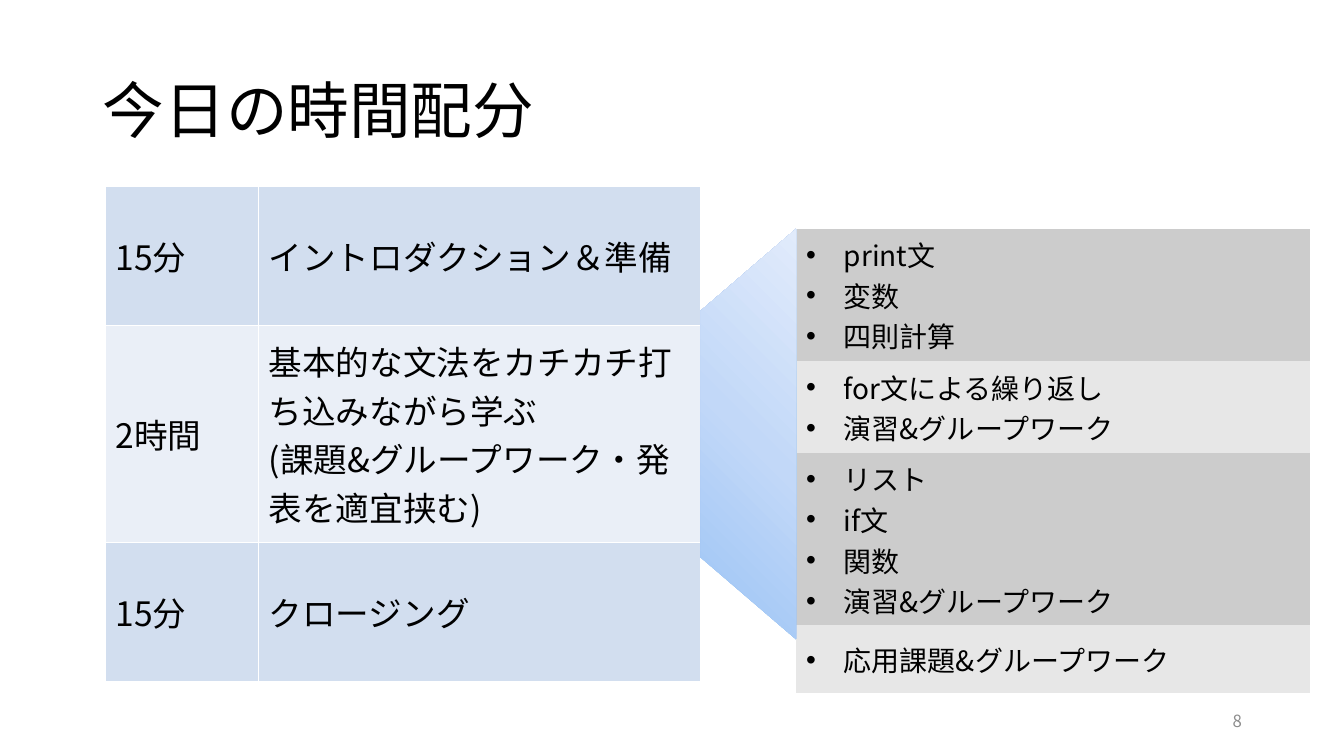
from copy import deepcopy
from dataclasses import dataclass
from typing import NamedTuple

from lxml.etree import SubElement
from pptx import Presentation
from pptx.dml.color import RGBColor
from pptx.enum.shapes import MSO_SHAPE
from pptx.enum.text import MSO_ANCHOR, MSO_AUTO_SIZE, PP_ALIGN
from pptx.oxml.ns import qn
from pptx.util import Cm, Pt


@dataclass(frozen=True)
class Theme:
    font: str = "Noto Sans CJK JP"
    ink: str = "000000"
    muted: str = "8C8C8C"
    rule: str = "FFFFFF"
    schedule_bands: tuple = ("D2DEEF", "EAEFF7")
    topic_bands: tuple = ("CCCCCC", "E7E7E7")
    funnel_stops: tuple = ("9AC3F5", "C2D8F8", "E1EBFB")
    title_size: int = 44
    schedule_size: int = 24
    topic_size: int = 20
    number_size: int = 12


class Box(NamedTuple):
    left: float
    top: float
    width: float
    height: float

    def lengths(self):
        return [Cm(length) for length in self]


THEME = Theme()
PLAIN_STYLE = "{2D5ABB26-0587-4C30-8999-92F81FD0307C}"

SCHEDULE = [
    ("15分", ["イントロダクション＆準備"]),
    ("2時間", ["基本的な文法をカチカチ打ち込みながら学ぶ",
              "(課題&グループワーク・発表を適宜挟む)"]),
    ("15分", ["クロージング"]),
]
TOPICS = [
    ["print文", "変数", "四則計算"],
    ["for文による繰り返し", "演習&グループワーク"],
    ["リスト", "if文", "関数", "演習&グループワーク"],
    ["応用課題&グループワーク"],
]


def add_text(paragraph, text, size, color=THEME.ink):
    run = paragraph.add_run()
    run.text = text
    run.font.name = THEME.font
    run.font.size = Pt(size)
    run.font.color.rgb = RGBColor.from_string(color)
    SubElement(run.font._element, qn("a:ea"), typeface=THEME.font)


def add_bullet(paragraph):
    indent = Cm(0.95)
    properties = paragraph._p.get_or_add_pPr()
    properties.set("marL", str(indent))
    properties.set("indent", str(-indent))
    SubElement(properties, qn("a:buFont"), typeface="Arial")
    SubElement(properties, qn("a:buChar"), char="•")


def fill_cell(cell, lines, size, band, bulleted=False, ruled=False):
    frame = cell.text_frame
    for index, line in enumerate(lines):
        paragraph = frame.add_paragraph() if index else frame.paragraphs[0]
        if bulleted:
            add_bullet(paragraph)
        add_text(paragraph, line, size)
    cell.vertical_anchor = MSO_ANCHOR.MIDDLE
    if ruled:
        for side in ("a:lnL", "a:lnR", "a:lnT", "a:lnB"):
            border = SubElement(cell._tc.get_or_add_tcPr(), qn(side), w=str(Pt(1)))
            SubElement(SubElement(border, qn("a:solidFill")), qn("a:srgbClr"), val=THEME.rule)
    cell.fill.solid()
    cell.fill.fore_color.rgb = RGBColor.from_string(band)


def add_plain_table(slide, box, widths, heights):
    table = slide.shapes.add_table(len(heights), len(widths), *box.lengths()).table
    table.first_row = table.horz_banding = False
    table._tbl.tblPr.find(qn("a:tableStyleId")).text = PLAIN_STYLE
    for column, width in zip(table.columns, widths):
        column.width = Cm(width)
    for row, height in zip(table.rows, heights):
        row.height = Cm(height)
    return table


def add_title(slide, box):
    title = slide.shapes.title
    title.left, title.top, title.width, title.height = box.lengths()
    frame = title.text_frame
    frame.auto_size = MSO_AUTO_SIZE.NONE
    frame.vertical_anchor = MSO_ANCHOR.MIDDLE
    heading = frame.paragraphs[0]
    heading.alignment = PP_ALIGN.LEFT
    heading.line_spacing = 0.9
    add_text(heading, "今日の時間配分", THEME.title_size)


def add_schedule(slide, box):
    duration_width, side_height = 3.86, 3.5
    widths = (duration_width, box.width - duration_width)
    heights = (side_height, box.height - 2 * side_height, side_height)
    table = add_plain_table(slide, box, widths, heights)
    for row, (duration, activity) in enumerate(SCHEDULE):
        band = THEME.schedule_bands[row % 2]
        for column, lines in enumerate(([duration], activity)):
            fill_cell(table.cell(row, column), lines, THEME.schedule_size, band, ruled=True)


def add_topics(slide, box):
    first, second, third = 3.33, 2.32, 4.34
    heights = (first, second, third, box.height - first - second - third)
    table = add_plain_table(slide, box, (box.width,), heights)
    for row, topics in enumerate(TOPICS):
        band = THEME.topic_bands[row % 2]
        fill_cell(table.cell(row, 0), topics, THEME.topic_size, band, bulleted=True)


def add_funnel(slide, box):
    turned = Box(box.left + (box.width - box.height) / 2,
                 box.top + (box.height - box.width) / 2,
                 box.height, box.width)
    funnel = slide.shapes.add_shape(MSO_SHAPE.FLOWCHART_MANUAL_OPERATION, *turned.lengths())
    funnel.rotation = 90
    funnel.shadow.inherit = False
    funnel.line.fill.background()
    funnel.fill.gradient()
    funnel.fill.gradient_angle = 135
    first_stop = funnel.fill.gradient_stops[0]._gs
    first_stop.addnext(deepcopy(first_stop))
    for index, (stop, color) in enumerate(zip(funnel.fill.gradient_stops, THEME.funnel_stops)):
        stop.position = index / 2
        stop.color.rgb = RGBColor.from_string(color)


def add_page_number(slide, box):
    frame = slide.shapes.add_textbox(*box.lengths()).text_frame
    frame.word_wrap = True
    frame.vertical_anchor = MSO_ANCHOR.MIDDLE
    number = frame.paragraphs[0]
    number.alignment = PP_ALIGN.RIGHT
    add_text(number, "8", THEME.number_size, THEME.muted)


def build_timetable_slide(deck):
    slide = deck.slides.add_slide(deck.slide_layouts[5])
    schedule = Box(2.66, 4.7, 14.99, 12.47)
    topics = Box(20.06, 5.77, 12.95, 11.7)
    schedule_right = schedule.left + schedule.width
    add_title(slide, Box(2.34, 1.02, 29.21, 3.68))
    add_page_number(slide, Box(23.93, 17.65, 7.62, 1.02))
    add_schedule(slide, schedule)
    add_topics(slide, topics)
    add_funnel(slide, Box(schedule_right, topics.top, topics.left - schedule_right, 10.34))


def main():
    deck = Presentation()
    deck.slide_width, deck.slide_height = Cm(33.87), Cm(19.05)
    build_timetable_slide(deck)
    deck.save("out.pptx")


if __name__ == "__main__":
    main()
